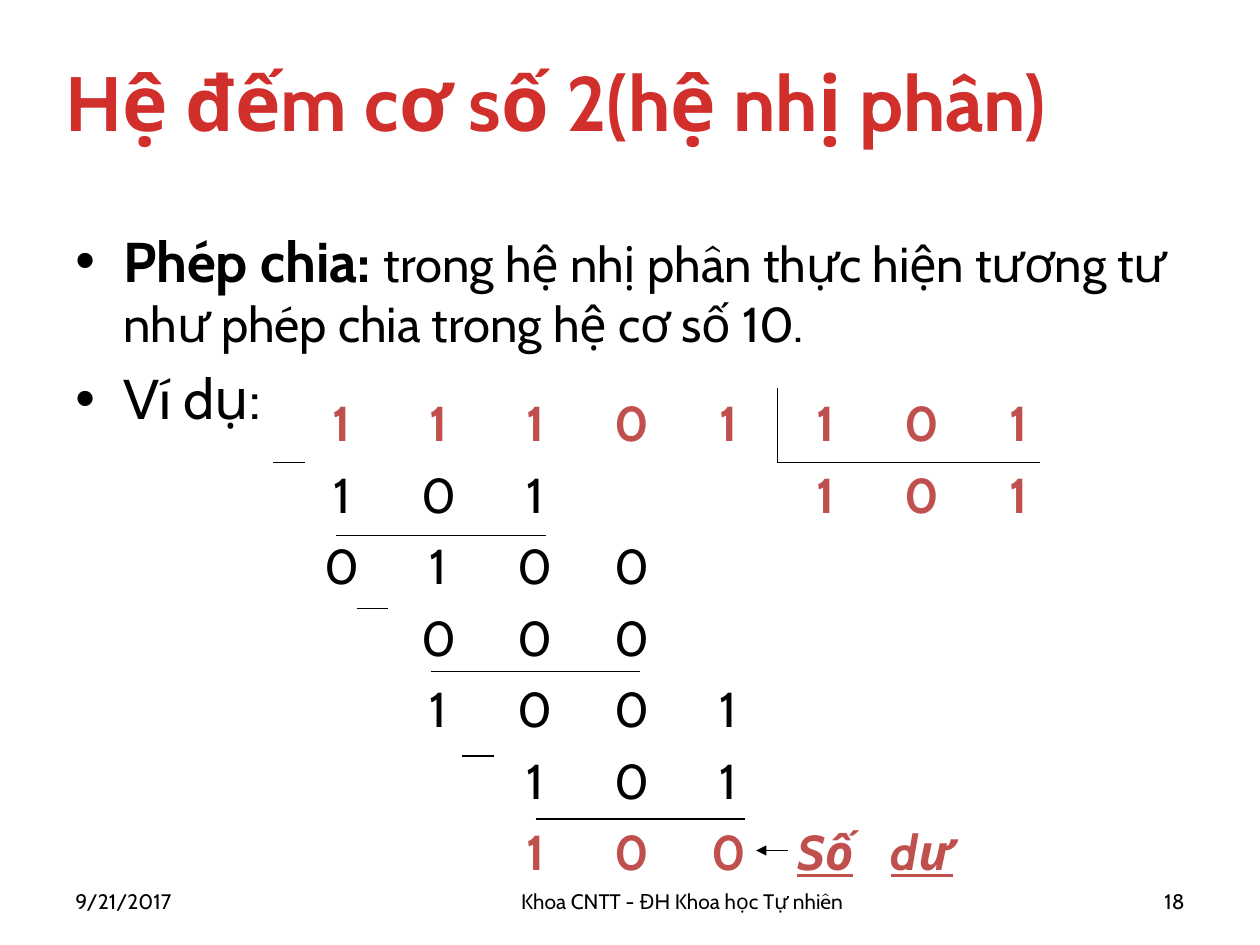
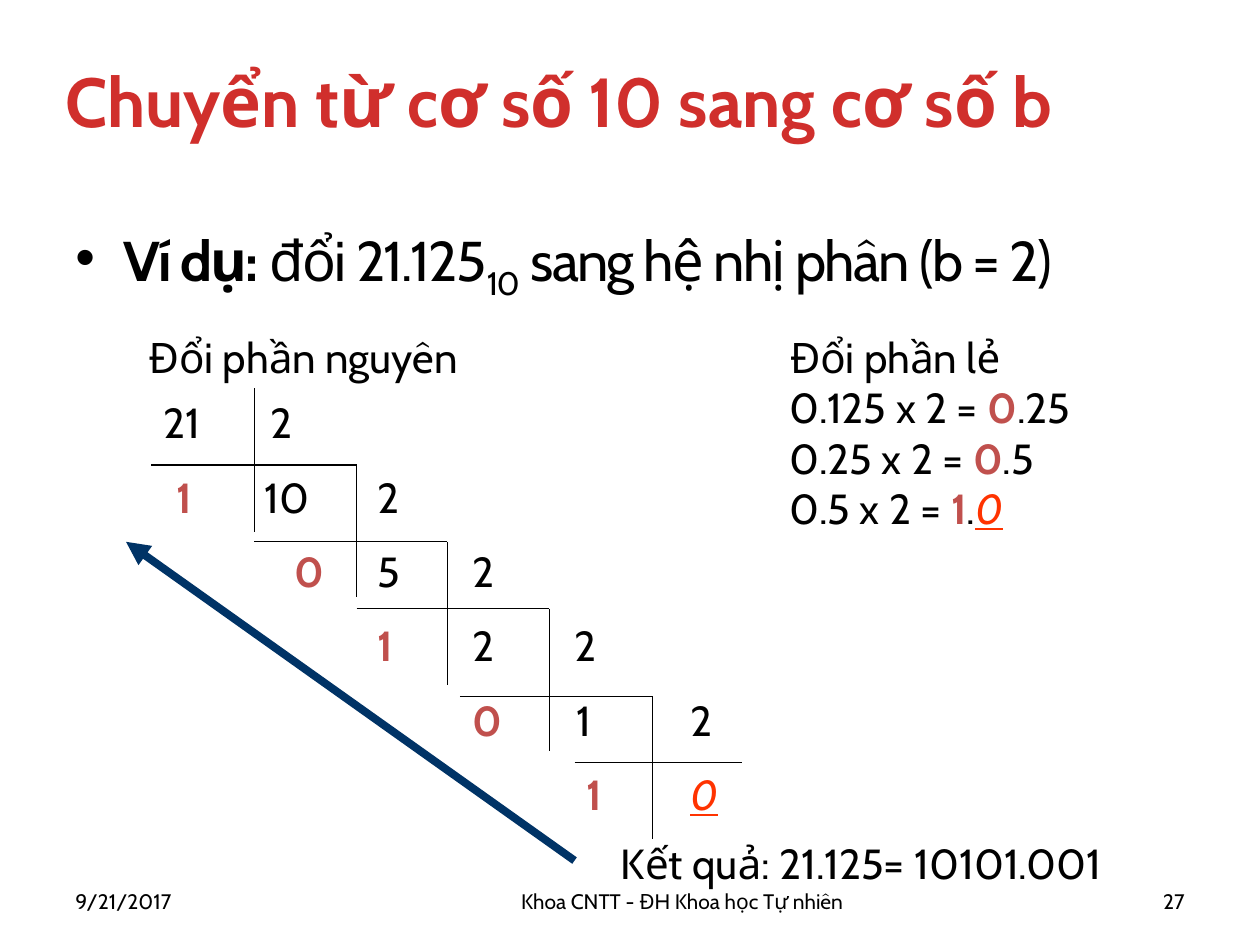
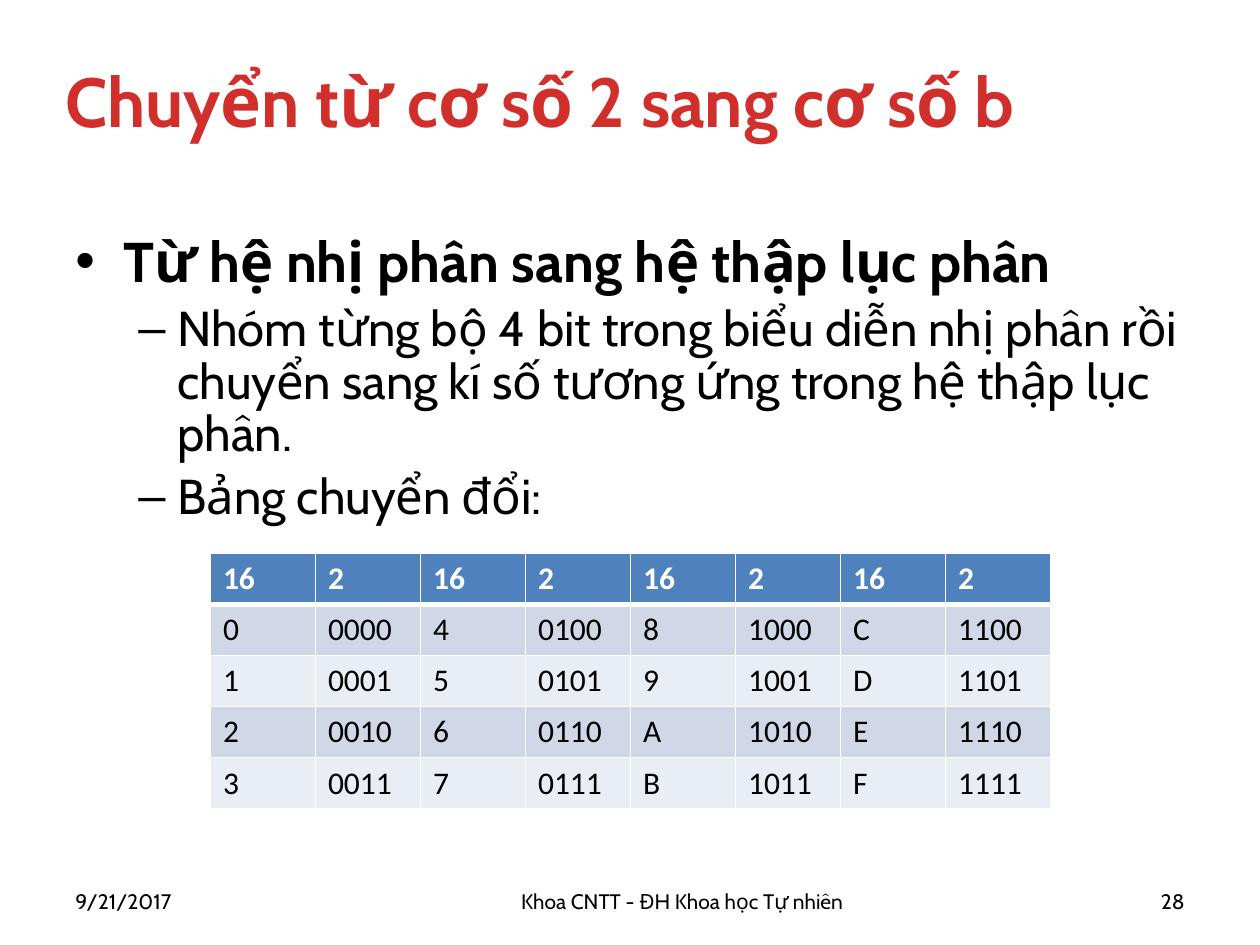
from lxml.etree import SubElement
from pptx import Presentation
from pptx.dml.color import RGBColor
from pptx.enum.shapes import MSO_CONNECTOR
from pptx.enum.text import MSO_ANCHOR, PP_ALIGN
from pptx.oxml.ns import qn
from pptx.util import Inches, Pt

COLORS = {
    "title": "D02F2C",
    "text": "000000",
    "digit": "C0504D",
    "zero": "FF3300",
    "arrow": "003366",
    "white": "FFFFFF",
    "header": "4F81BD",
    "band_dark": "D0D8E8",
    "band_light": "E9EDF4",
}
FONT = "Cabin"
TABLE_FONT = "Calibri"
PLAIN_TABLE_STYLE = "{2D5ABB26-0587-4C30-8999-92F81FD0307C}"
TITLE_BOX = (0.42, 0.17, 9.42, 1.25)
BODY_BOX = (0.5, 1.75, 9, 4.95)
FOOTERS = {
    "date": ((0.5, 6.95, 1.08, 0.4), PP_ALIGN.LEFT),
    "school": ((2.08, 6.95, 6.67, 0.4), PP_ALIGN.CENTER),
    "number": ((8.92, 6.95, 0.58, 0.4), PP_ALIGN.RIGHT),
}
BULLETS = {"•": (0.38, -0.38), "–": (0.81, -0.31)}
DIGIT = {"color": "digit", "bold": True}
FINAL_ZERO = {"color": "zero", "italic": True, "underline": True}


def rgb(name):
    return RGBColor.from_string(COLORS[name])


def format_run(run, size, color="text", bold=False, italic=False, underline=False,
               name=FONT, **attributes):
    """Format a run; attributes go straight to its a:rPr element."""
    font = run.font
    font.name, font.size, font.color.rgb = name, Pt(size), rgb(color)
    font.bold, font.italic, font.underline = bold, italic, underline
    for key, value in attributes.items():
        run._r.get_or_add_rPr().set(key, value)


def fill_paragraph(paragraph, runs, size, **style):
    """Write runs given as a string or as (text, style) pairs."""
    if isinstance(runs, str):
        runs = [(runs, {})]
    for text, own_style in runs:
        run = paragraph.add_run()
        run.text = text
        format_run(run, **{"size": size, **style, **own_style})


def add_text(slide, box, paragraphs, size, align=PP_ALIGN.LEFT, anchor=MSO_ANCHOR.TOP, **style):
    text_frame = slide.shapes.add_textbox(*map(Inches, box)).text_frame
    text_frame.word_wrap = True
    text_frame.vertical_anchor = anchor
    for index, runs in enumerate(paragraphs):
        paragraph = text_frame.add_paragraph() if index else text_frame.paragraphs[0]
        paragraph.alignment = align
        fill_paragraph(paragraph, runs, size, **style)
    return text_frame


def add_body(slide, items):
    """Add bulleted paragraphs given as (bullet, size, line spacing, runs)."""
    text_frame = add_text(slide, BODY_BOX, [runs for *_, runs in items], 32)
    for paragraph, (bullet, size, spacing, _) in zip(text_frame.paragraphs, items):
        paragraph.line_spacing = spacing
        paragraph.space_before = Pt(size * 0.2)
        margin, indent = BULLETS[bullet]
        properties = paragraph._p.get_or_add_pPr()
        properties.set("marL", str(Inches(margin)))
        properties.set("indent", str(Inches(indent)))
        SubElement(properties, qn("a:buFont"), typeface="Arial")
        SubElement(properties, qn("a:buChar"), char=bullet)


def add_line(slide, origin, start, end, color="text", width=0.75, arrow=False):
    left, top = origin
    line = slide.shapes.add_connector(
        MSO_CONNECTOR.STRAIGHT,
        Inches(left + start[0]), Inches(top + start[1]),
        Inches(left + end[0]), Inches(top + end[1]))
    line.line.color.rgb = rgb(color)
    line.line.width = Pt(width)
    if arrow:
        SubElement(line.line._get_or_add_ln(), qn("a:tailEnd"), type="triangle")
    SubElement(line._element.spPr, qn("a:effectLst"))


def add_framed_slide(presentation, title, number, title_size=39.6):
    """Add a slide with its title and footers."""
    slide = presentation.slides.add_slide(presentation.slide_layouts[6])
    add_text(slide, TITLE_BOX, [title], title_size, anchor=MSO_ANCHOR.MIDDLE,
             color="title", bold=True)
    texts = {"date": "9/21/2017", "school": "Khoa CNTT - ĐH Khoa học Tự nhiên", "number": str(number)}
    for key, (box, align) in FOOTERS.items():
        add_text(slide, box, [texts[key]], 12, align, MSO_ANCHOR.MIDDLE)
    return slide


def add_grid(slide, box, row_count, column_count):
    table = slide.shapes.add_table(row_count, column_count, *map(Inches, box)).table
    for column in table.columns:
        column.width = Inches(box[2] / column_count)
    for row in table.rows:
        row.height = Inches(box[3] / row_count)
    return table


def add_long_division(slide, box):
    rows = ["11101101", "101  101", "0100", " 000", " 1001", "  101",
            ["", "", "1", "0", "0", "Số", "dư"]]
    last_row, divisor_column = len(rows) - 1, 5
    table = add_grid(slide, box, len(rows), 8)
    table.first_row = table.horz_banding = False
    table._tbl.tblPr.find(qn("a:tableStyleId")).text = PLAIN_TABLE_STYLE
    for row_index, row in enumerate(rows):
        for column_index, text in enumerate(row):
            if not text.strip():
                continue
            paragraph = table.cell(row_index, column_index).text_frame.paragraphs[0]
            paragraph.alignment = PP_ALIGN.CENTER
            in_divisor = column_index >= divisor_column
            style = DIGIT if row_index in (0, last_row) or in_divisor else {}
            label = row_index == last_row and in_divisor
            fill_paragraph(paragraph, text, 28, **style, italic=label, underline=label)

    origin = box[:2]
    add_line(slide, origin, (3.84, 0), (3.84, 0.59))
    add_line(slide, origin, (3.84, 0.59), (5.92, 0.59))
    minus_signs = [(-0.16, 0.59), (0.5, 1.75), (1.34, 2.92)]
    sum_rules = [(0.34, 1.17), (1.09, 2.25), (1.92, 3.42)]
    for starts, length in ((minus_signs, 0.25), (sum_rules, 1.66)):
        for x, y in starts:
            add_line(slide, origin, (x, y), (x + length, y))
    add_line(slide, origin, (3.92, 3.67), (3.67, 3.67), arrow=True)


def add_division_ladder(slide, origin, number, base):
    """Divide number by base down to zero, one step a row."""
    left, top = origin
    row_height = 0.59
    dividend_lefts = [0, 0.8, 1.7, 2.45, 3.28, 4.18]
    divisor_lefts = [0.85, 1.7, 2.45, 3.26, 4.18]
    remainder_lefts = [0.1, 1.04, 1.7, 2.45, 3.36]

    def add_number(value, x, row, **style):
        box = (left + x, top + row * row_height, 0.9, row_height)
        add_text(slide, box, [str(value)], 24, **style)

    for row, divisor_left in enumerate(divisor_lefts):
        quotient, remainder = divmod(number, base)
        add_number(number, dividend_lefts[row], row)
        add_number(base, divisor_left, row)
        add_number(remainder, remainder_lefts[row], row + 1, **DIGIT)
        number = quotient
    add_number(number, dividend_lefts[-1], len(divisor_lefts), **FINAL_ZERO)

    add_line(slide, origin, (0.82, -0.02), (0.82, 1.12))
    # Each rule: left, right, height, and the foot of the upright at its right end
    rules = [(0, 1.63, 0.59, 1.64), (0.82, 2.35, 1.2, 2.34), (1.63, 3.16, 1.73, 2.86),
             (2.45, 3.98, 2.43, 3.56), (3.36, 4.69, 2.95, None)]
    for start, end, y, foot in rules:
        add_line(slide, origin, (start, y), (end, y))
        if foot:
            add_line(slide, origin, (end, y), (end, foot))
    add_line(slide, origin, (3.36, 3.73), (-0.2, 1.2), "arrow", 4.5, arrow=True)


def add_fraction_steps(slide, box):
    steps = [("0.125 x 2 = ", "0", ".25"), ("0.25 x 2 = ", "0", ".5"), ("0.5 x 2 = ", "1", ".")]
    lines = [[(product, {}), (digit, DIGIT), (rest, {})] for product, digit, rest in steps]
    lines[-1].append(("0", FINAL_ZERO))
    add_text(slide, box, ["Đổi phần lẻ", *lines], 24)


def add_cell_border(cell, side, width):
    line = SubElement(cell._tc.get_or_add_tcPr(), qn(f"a:ln{side}"), w=str(Pt(width)))
    SubElement(SubElement(line, qn("a:solidFill")), qn("a:srgbClr"), val=COLORS["white"])


def add_hex_table(slide, box):
    """Pair each hexadecimal digit with its four bits, four digits a column."""
    digits_per_column = 4
    rows = [["16", "2"] * 4]
    for first in range(digits_per_column):
        values = range(first, 16, digits_per_column)
        rows.append([text for value in values for text in (f"{value:X}", f"{value:04b}")])
    table = add_grid(slide, box, len(rows), len(rows[0]))
    for row_index, row in enumerate(rows):
        header = row_index == 0
        fill = "header" if header else "band_dark" if row_index % 2 else "band_light"
        for column_index, text in enumerate(row):
            cell = table.cell(row_index, column_index)
            fill_paragraph(cell.text_frame.paragraphs[0], text, 18, name=TABLE_FONT,
                           bold=header, color="white" if header else "text")
            widths = {"L": 1, "R": 1, "T": 3 if row_index == 1 else 1, "B": 3 if header else 1}
            for side, width in widths.items():
                add_cell_border(cell, side, width)
            cell.fill.solid()
            cell.fill.fore_color.rgb = rgb(fill)


def build_binary_division(presentation):
    slide = add_framed_slide(presentation, "Hệ đếm cơ số 2(hệ nhị phân)", 18, title_size=44)
    add_body(slide, [
        ("•", 32, 1, [
            ("Phép chia: ", {"bold": True}),
            ("trong hệ nhị phân thực hiện tương tư như phép chia trong hệ cơ số 10.", {"size": 28})]),
        ("•", 32, 1, "Ví dụ:"),
    ])
    add_long_division(slide, (2.33, 3.08, 6.14, 3.97))


def build_decimal_conversion(presentation):
    slide = add_framed_slide(presentation, "Chuyển từ cơ số 10 sang cơ số b", 27)
    tight = {"spc": "-100"}
    add_body(slide, [("•", 32, 0.9, [
        ("Ví dụ:", {"bold": True, **tight}),
        (" đổi 21.125", tight),
        ("10", {"baseline": "-25000", **tight}),
        (" sang hệ nhị phân (b = 2)", tight)])])
    add_text(slide, (1.08, 2.58, 2.75, 0.9), ["Đổi phần nguyên"], 24)
    add_division_ladder(slide, (1.2, 3.1), 21, 2)
    add_fraction_steps(slide, (6.17, 2.58, 3.33, 2.1))
    add_text(slide, (4.83, 6.6, 4.67, 0.5), ["Kết quả: 21.125= 10101.001"], 24)


def build_hex_conversion(presentation):
    slide = add_framed_slide(presentation, "Chuyển từ cơ số 2 sang cơ số b", 28)
    add_body(slide, [
        ("•", 32, 1, [("Từ hệ nhị phân sang hệ thập lục phân", {"bold": True})]),
        ("–", 28, 0.9, [("Nhóm từng bộ 4 bit trong biểu diễn nhị phân rồi chuyển sang kí số "
                         "tương ứng trong hệ thập lục phân.", {"size": 28})]),
        ("–", 28, 0.9, [("Bảng chuyển đổi:", {"size": 28})]),
    ])
    add_hex_table(slide, (1.67, 4.39, 6.67, 2.03))


def main():
    presentation = Presentation()
    presentation.slide_width, presentation.slide_height = Inches(10), Inches(7.5)
    build_binary_division(presentation)
    build_decimal_conversion(presentation)
    build_hex_conversion(presentation)
    presentation.save("out.pptx")


if __name__ == "__main__":
    main()
